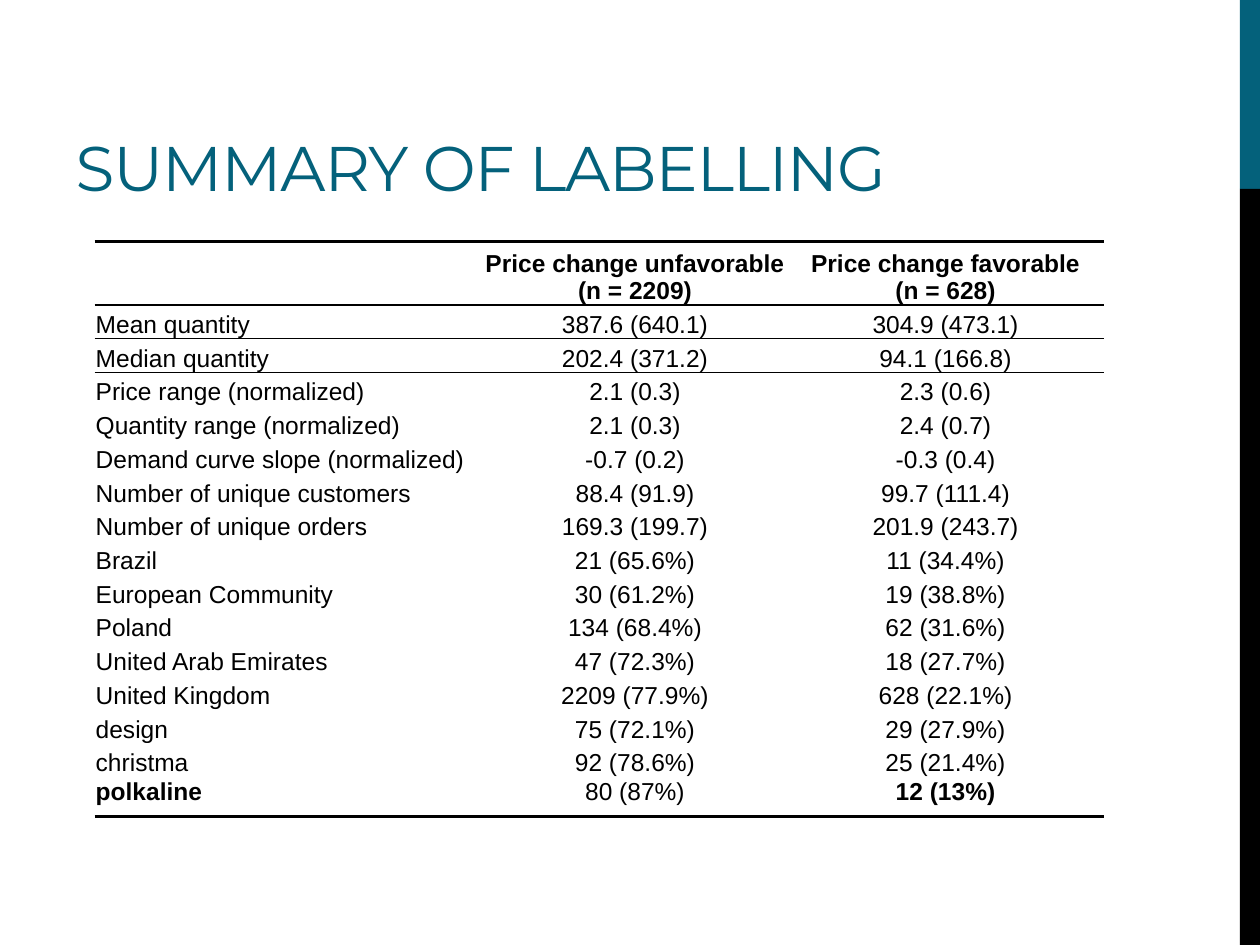
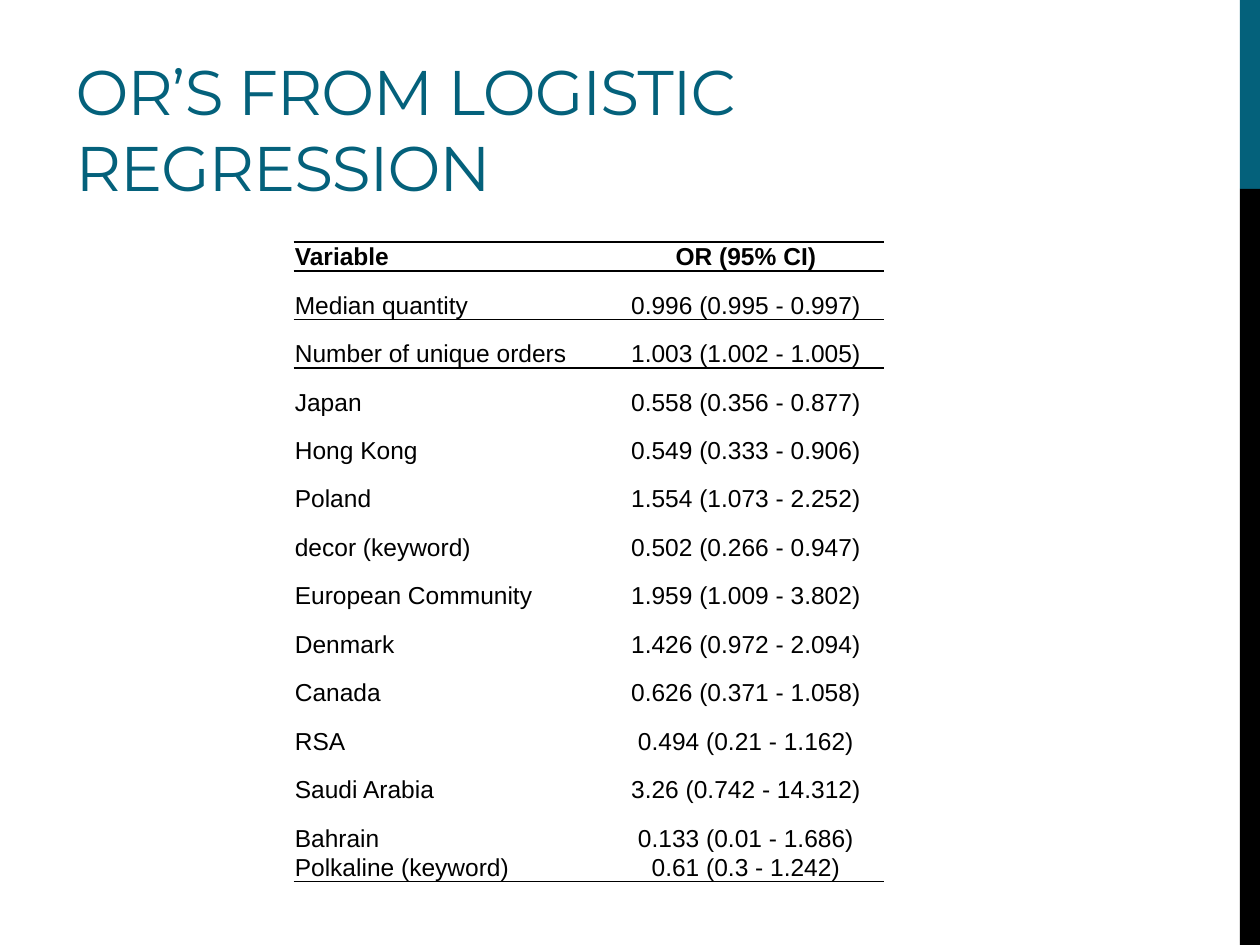
from dataclasses import dataclass

from lxml import etree
from pptx import Presentation
from pptx.dml.color import RGBColor
from pptx.enum.shapes import MSO_SHAPE
from pptx.enum.text import MSO_ANCHOR, MSO_AUTO_SIZE, PP_ALIGN
from pptx.oxml.ns import qn
from pptx.util import Inches, Pt

RECTANGLE = MSO_SHAPE.RECTANGLE
TOP, BOTTOM = MSO_ANCHOR.TOP, MSO_ANCHOR.BOTTOM
LEFT, CENTER = PP_ALIGN.LEFT, PP_ALIGN.CENTER
NO_AUTOFIT = MSO_AUTO_SIZE.NONE
TITLE_ONLY = 5
PLAIN_TABLE_STYLE = "{2D5ABB26-0587-4C30-8999-92F81FD0307C}"


@dataclass(frozen=True)
class Theme:
    accent: RGBColor = RGBColor(0x04, 0x61, 0x7B)
    ink: RGBColor = RGBColor(0, 0, 0)
    paper: RGBColor = RGBColor(255, 255, 255)
    title_font: str = "Montserrat"
    table_font: str = "Arial"
    title_size: int = 36
    title_spacing: float = -0.6
    table_size: int = 14


@dataclass(frozen=True)
class Band:
    top: float
    height: float
    color: RGBColor


@dataclass(frozen=True)
class ResultTable:
    left: float
    height: float
    header_height: float
    last_height: float
    column_widths: tuple[float, ...]
    rows: tuple[tuple[str, ...], ...]
    outer_line: float = 1
    inner_line: float = 1
    last_anchor: MSO_ANCHOR = BOTTOM
    bold_cells: tuple[tuple[int, int], ...] = ()


@dataclass(frozen=True)
class ResultSlide:
    title: str
    title_width: float
    table: ResultTable


THEME = Theme()
BAND_LEFT, BAND_WIDTH = 9.84, 0.16
BANDS = (Band(0, 1.5, THEME.accent), Band(1.5, 6, THEME.ink))
TABLE_TOP = 1.92
CELL_FORMAT = {
    "margin_left": Inches(0.01),
    "margin_right": Inches(0.01),
    "margin_top": Inches(0.01),
    "margin_bottom": 0,
}

LABELLING = ResultTable(
    left=0.75,
    height=4.56,
    header_height=0.5,
    last_height=0.31,
    column_widths=(3.08, 2.42, 2.51),
    outer_line=2,
    last_anchor=TOP,
    bold_cells=((15, 0), (15, 2)),
    rows=(
        ("", "Price change unfavorable\n(n = 2209)", "Price change favorable\n(n = 628)"),
        ("Mean quantity", "387.6 (640.1)", "304.9 (473.1)"),
        ("Median quantity", "202.4 (371.2)", "94.1 (166.8)"),
        ("Price range (normalized)", "2.1 (0.3)", "2.3 (0.6)"),
        ("Quantity range (normalized)", "2.1 (0.3)", "2.4 (0.7)"),
        ("Demand curve slope (normalized)", "-0.7 (0.2)", "-0.3 (0.4)"),
        ("Number of unique customers", "88.4 (91.9)", "99.7 (111.4)"),
        ("Number of unique orders", "169.3 (199.7)", "201.9 (243.7)"),
        ("Brazil", "21 (65.6%)", "11 (34.4%)"),
        ("European Community", "30 (61.2%)", "19 (38.8%)"),
        ("Poland", "134 (68.4%)", "62 (31.6%)"),
        ("United Arab Emirates", "47 (72.3%)", "18 (27.7%)"),
        ("United Kingdom", "2209 (77.9%)", "628 (22.1%)"),
        ("design", "75 (72.1%)", "29 (27.9%)"),
        ("christma", "92 (78.6%)", "25 (21.4%)"),
        ("polkaline", "80 (87%)", "12 (13%)"),
    ),
)

ODDS_RATIOS = ResultTable(
    left=2.33,
    height=5.08,
    header_height=0.23,
    last_height=0.23,
    column_widths=(2.49, 2.2),
    rows=(
        ("Variable", "OR (95% CI)"),
        ("Median quantity", "0.996 (0.995 - 0.997)"),
        ("Number of unique orders", "1.003 (1.002 - 1.005)"),
        ("Japan", "0.558 (0.356 - 0.877)"),
        ("Hong Kong", "0.549 (0.333 - 0.906)"),
        ("Poland", "1.554 (1.073 - 2.252)"),
        ("decor (keyword)", "0.502 (0.266 - 0.947)"),
        ("European Community", "1.959 (1.009 - 3.802)"),
        ("Denmark", "1.426 (0.972 - 2.094)"),
        ("Canada", "0.626 (0.371 - 1.058)"),
        ("RSA", "0.494 (0.21 - 1.162)"),
        ("Saudi Arabia", "3.26 (0.742 - 14.312)"),
        ("Bahrain", "0.133 (0.01 - 1.686)"),
        ("Polkaline (keyword)", "0.61 (0.3 - 1.242)"),
    ),
)

SLIDES = (
    ResultSlide("SUMMARY OF LABELLING", 9.08, LABELLING),
    ResultSlide("OR’S FROM LOGISTIC REGRESSION", 6.33, ODDS_RATIOS),
)


def apply_format(target, values: dict) -> None:
    for name, value in values.items():
        setattr(target, name, value)


def format_run(run, font: str, size: int, color: RGBColor, bold: bool = False) -> None:
    apply_format(run.font, {"name": font, "size": Pt(size), "bold": bold})
    run.font.color.rgb = color


def draw_band(slide, band: Band) -> None:
    shape = slide.shapes.add_shape(
        RECTANGLE, Inches(BAND_LEFT), Inches(band.top), Inches(BAND_WIDTH), Inches(band.height)
    )
    shape.shadow.inherit = False
    shape.fill.solid()
    shape.fill.fore_color.rgb = band.color
    shape.line.fill.background()


def draw_title(slide, text: str, width: float) -> None:
    title = slide.shapes.title
    apply_format(title, {
        "left": Inches(0.5), "top": Inches(0.17),
        "width": Inches(width), "height": Inches(1.5),
    })
    frame = title.text_frame
    frame.text = text
    apply_format(frame, {"vertical_anchor": BOTTOM, "word_wrap": True, "auto_size": NO_AUTOFIT})
    paragraph = frame.paragraphs[0]
    paragraph.alignment = LEFT
    run = paragraph.runs[0]
    format_run(run, THEME.title_font, THEME.title_size, THEME.accent)
    run.font._element.set("spc", str(round(THEME.title_spacing * 100)))


def add_border(cell, side: str, width: float) -> None:
    properties = cell._tc.get_or_add_tcPr()
    line = etree.SubElement(properties, qn(f"a:ln{side}"), w=str(Pt(width)))
    fill = etree.SubElement(line, qn("a:solidFill"))
    etree.SubElement(fill, qn("a:srgbClr"), val=str(THEME.ink))


def cell_borders(row: int, last: int, design: ResultTable) -> dict[str, float]:
    if row == 0:
        return {"T": design.outer_line, "B": design.inner_line}
    if row == 1:
        return {"T": design.inner_line, "B": design.inner_line}
    if row == 2:
        return {"T": design.inner_line}
    return {"B": design.outer_line} if row == last else {}


def fill_cell(cell, text: str, row: int, column: int, design: ResultTable) -> None:
    last = len(design.rows) - 1
    cell.text = text
    apply_format(cell, CELL_FORMAT)
    cell.vertical_anchor = design.last_anchor if row == last else BOTTOM
    for side, width in cell_borders(row, last, design).items():
        add_border(cell, side, width)
    cell.fill.solid()
    cell.fill.fore_color.rgb = THEME.paper
    bold = row == 0 or (row, column) in design.bold_cells
    for paragraph in cell.text_frame.paragraphs:
        paragraph.alignment = CENTER if column else LEFT
        for run in paragraph.runs:
            format_run(run, THEME.table_font, THEME.table_size, THEME.ink, bold)


def draw_table(slide, design: ResultTable) -> None:
    row_count = len(design.rows)
    frame = slide.shapes.add_table(
        row_count, len(design.column_widths), Inches(design.left), Inches(TABLE_TOP),
        Inches(sum(design.column_widths)), Inches(design.height),
    )
    table = frame.table
    apply_format(table, {"first_row": False, "horz_banding": False})
    table._tbl.tblPr.find(qn("a:tableStyleId")).text = PLAIN_TABLE_STYLE
    for column, width in zip(table.columns, design.column_widths):
        column.width = Inches(width)
    body_height = (design.height - design.header_height - design.last_height) / (row_count - 2)
    heights = [design.header_height, *[body_height] * (row_count - 2), design.last_height]
    for row, (texts, height) in enumerate(zip(design.rows, heights)):
        table.rows[row].height = Inches(height)
        for column, text in enumerate(texts):
            fill_cell(table.cell(row, column), text, row, column, design)


def main() -> None:
    presentation = Presentation()
    apply_format(presentation, {"slide_width": Inches(10), "slide_height": Inches(7.5)})
    for content in SLIDES:
        slide = presentation.slides.add_slide(presentation.slide_layouts[TITLE_ONLY])
        for band in BANDS:
            draw_band(slide, band)
        draw_title(slide, content.title, content.title_width)
        draw_table(slide, content.table)
    presentation.save("out.pptx")


if __name__ == "__main__":
    main()
